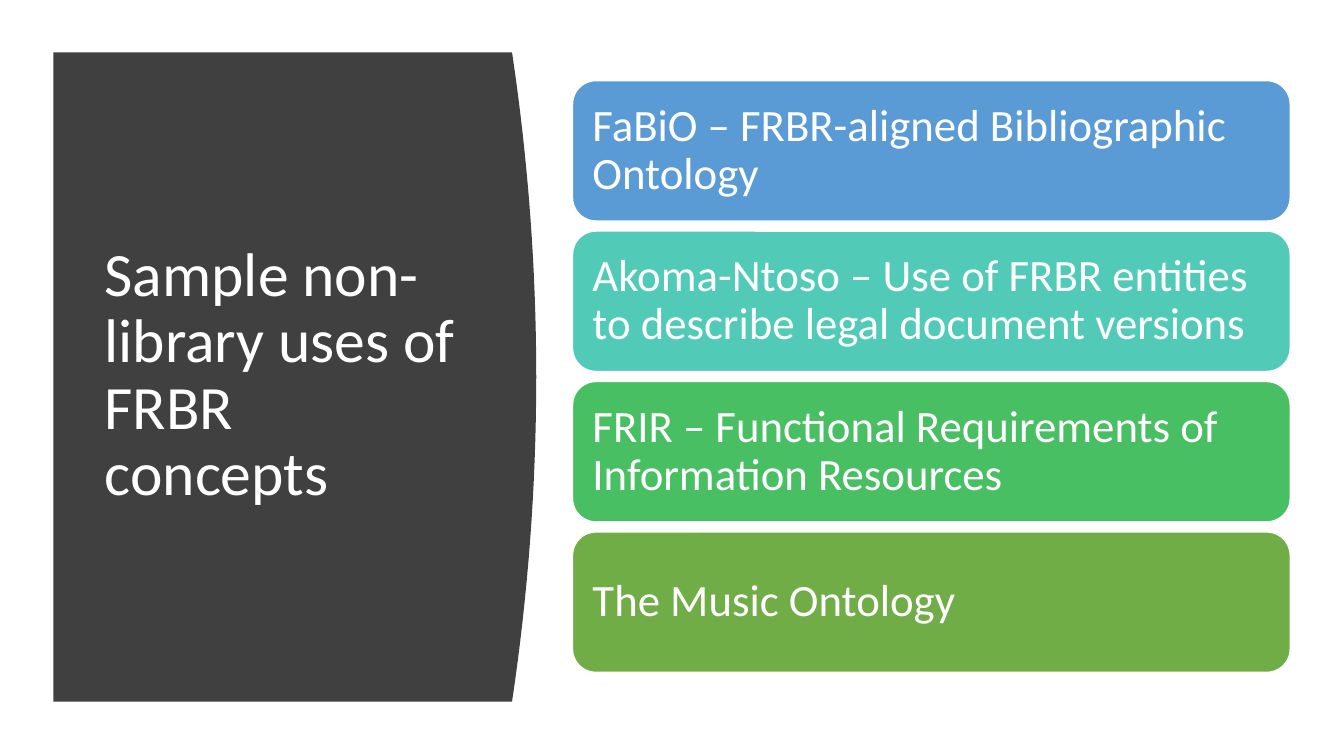
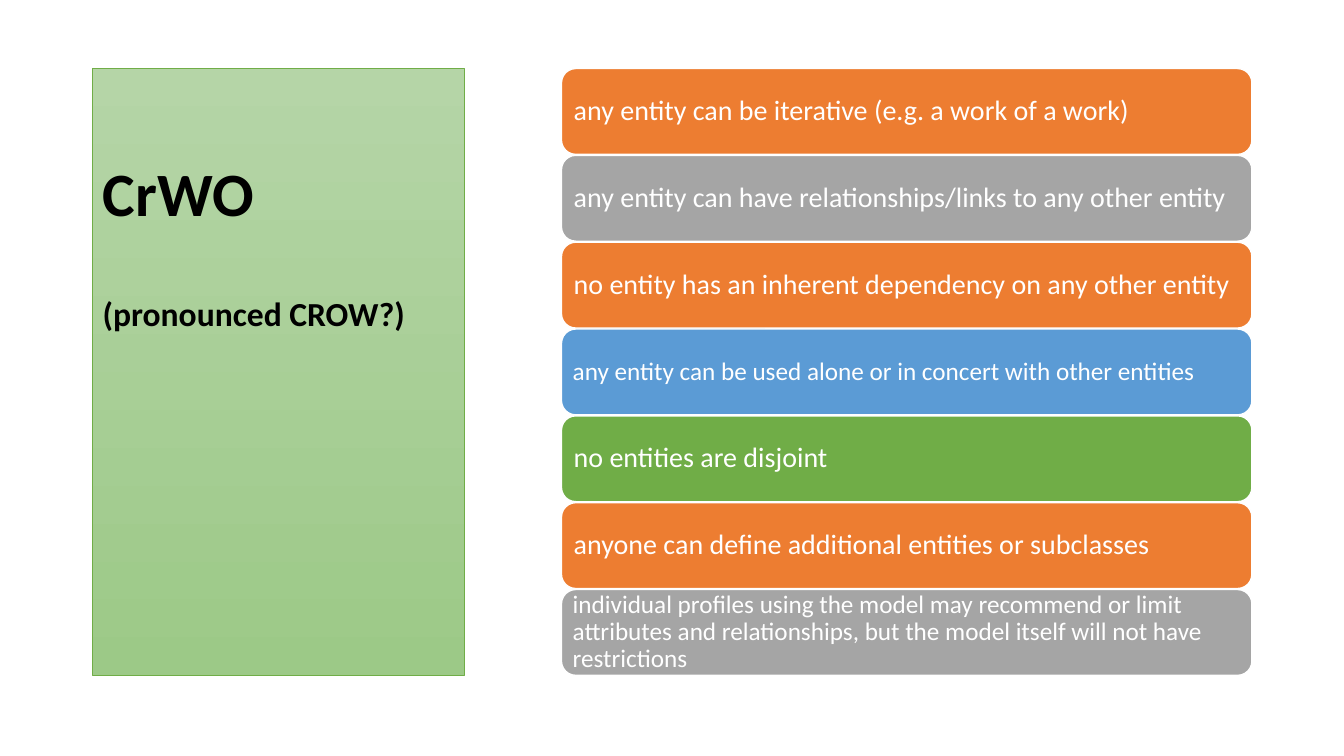
import pptx
import pptx.util
import pptx.dml.color
import pptx.enum.shapes
import pptx.enum.text

UNIT = pptx.util.Inches(1 / 6)
COLS, ROWS = 80, 45
FONT = "Calibri"
WHITE, BLACK, DARK = "FFFFFF", "000000", "404040"
BLUE, TEAL, MINT, GREEN = "5B9BD5", "52CAB8", "49BF64", "70AD47"
ORANGE, GRAY = "ED7D31", "A5A5A5"
PALE, FRESH = "B5D5A7", "9CC987"
TITLE = 44
BEND = 32


def grid(*marks):
    return [round(mark * UNIT) for mark in marks]


def tint(part, code):
    part.rgb = pptx.dml.color.RGBColor.from_string(code)


def paint(shape, fill, line=None, width=1):
    shape.shadow.inherit = False
    if isinstance(fill, tuple):
        shape.fill.gradient()
        shape.fill.gradient_angle = 270
        for stop, code in zip(shape.fill.gradient_stops, fill):
            tint(stop.color, code)
    else:
        shape.fill.solid()
        tint(shape.fill.fore_color, fill)
    if line:
        tint(shape.line.color, line)
        shape.line.width = pptx.util.Pt(width)
    else:
        shape.line.fill.background()


def write(shape, lines, color, bold=False, inset=(0.6, 0.3, 0.6, 0.3), anchor="MIDDLE"):
    frame = shape.text_frame
    frame.word_wrap = True
    frame.vertical_anchor = pptx.enum.text.MSO_ANCHOR[anchor]
    (frame.margin_left, frame.margin_top,
     frame.margin_right, frame.margin_bottom) = grid(*inset)
    for index, (text, size, space) in enumerate(lines):
        para = frame.add_paragraph() if index else frame.paragraphs[0]
        para.alignment = pptx.enum.text.PP_ALIGN.LEFT
        para.line_spacing = 0.9
        para.space_before = pptx.util.Pt(space)
        run = para.add_run()
        run.text = text
        run.font.name = FONT
        run.font.size = pptx.util.Pt(size)
        run.font.bold = bold
        tint(run.font.color, color)


def panel(slide, left, top, width, height, bulge):
    edge = []
    for step in range(BEND + 1):
        share = step / BEND
        bow = bulge * (1 - (2 * share - 1) ** 2)
        edge.append(grid(left + width + bow, top + height * share))
    pen = slide.shapes.build_freeform(*grid(left, top))
    pen.add_line_segments(edge + [grid(left, top + height)], close=True)
    paint(pen.convert_to_shape(), DARK)


def stack(slide, box, gap, cards):
    left, top, width, height = box
    tall = (height - gap * (len(cards) - 1)) / len(cards)
    for index, (text, fill, size, pad) in enumerate(cards):
        card = slide.shapes.add_shape(
            pptx.enum.shapes.MSO_SHAPE.ROUNDED_RECTANGLE,
            *grid(left, top + index * (tall + gap), width, tall))
        paint(card, fill, WHITE)
        write(card, [(text, size, 0)], WHITE, inset=(pad,) * 4)


def uses(slide):
    panel(slide, 3.18, 3.12, 27.3, 38.64, 1.44)
    head = slide.shapes.add_textbox(*grid(5.64, 6.66, 22.44, 31.44))
    write(head, [("Sample non-library uses of FRBR concepts", TITLE, 0)], WHITE)
    cards = [
        ("FaBiO – FRBR-aligned Bibliographic Ontology", BLUE),
        ("Akoma-Ntoso – Use of FRBR entities to describe legal document versions", TEAL),
        ("FRIR – Functional Requirements of Information Resources", MINT),
        ("The Music Ontology", GREEN),
    ]
    stack(slide, (34.08, 4.8, 42.72, 35.22), 0.6,
          [(text, fill, 32, 0.78) for text, fill in cards])


def rules(slide):
    head = slide.shapes.add_shape(
        pptx.enum.shapes.MSO_SHAPE.RECTANGLE, *grid(5.52, 4.08, 22.14, 36.12))
    paint(head, (PALE, FRESH), GREEN, 0.5)
    write(head, [("CrWO", TITLE, 0), ("(pronounced CROW?)", 24, 48)],
          BLACK, True, (0.6, 5.64, 0.6, 0.3), "TOP")
    large, small = (20, 0.48), (18, 0.42)
    stack(slide, (33.42, 4.08, 41.1, 36.12), 0.06, [
        ("any entity can be iterative (e.g. a work of a work)", ORANGE, *large),
        ("any entity can have relationships/links to any other entity", GRAY, *large),
        ("no entity has an inherent dependency on any other entity", ORANGE, *large),
        ("any entity can be used alone or in concert with other entities", BLUE, *small),
        ("no entities are disjoint", GREEN, *large),
        ("anyone can define additional entities or subclasses", ORANGE, *large),
        ("individual profiles using the model may recommend or limit attributes "
         "and relationships, but the model itself will not have restrictions", GRAY, *small),
    ])


def main():
    deck = pptx.Presentation()
    deck.slide_width, deck.slide_height = grid(COLS, ROWS)
    for build in (uses, rules):
        build(deck.slides.add_slide(deck.slide_layouts[6]))
    deck.save("out.pptx")


if __name__ == "__main__":
    main()
